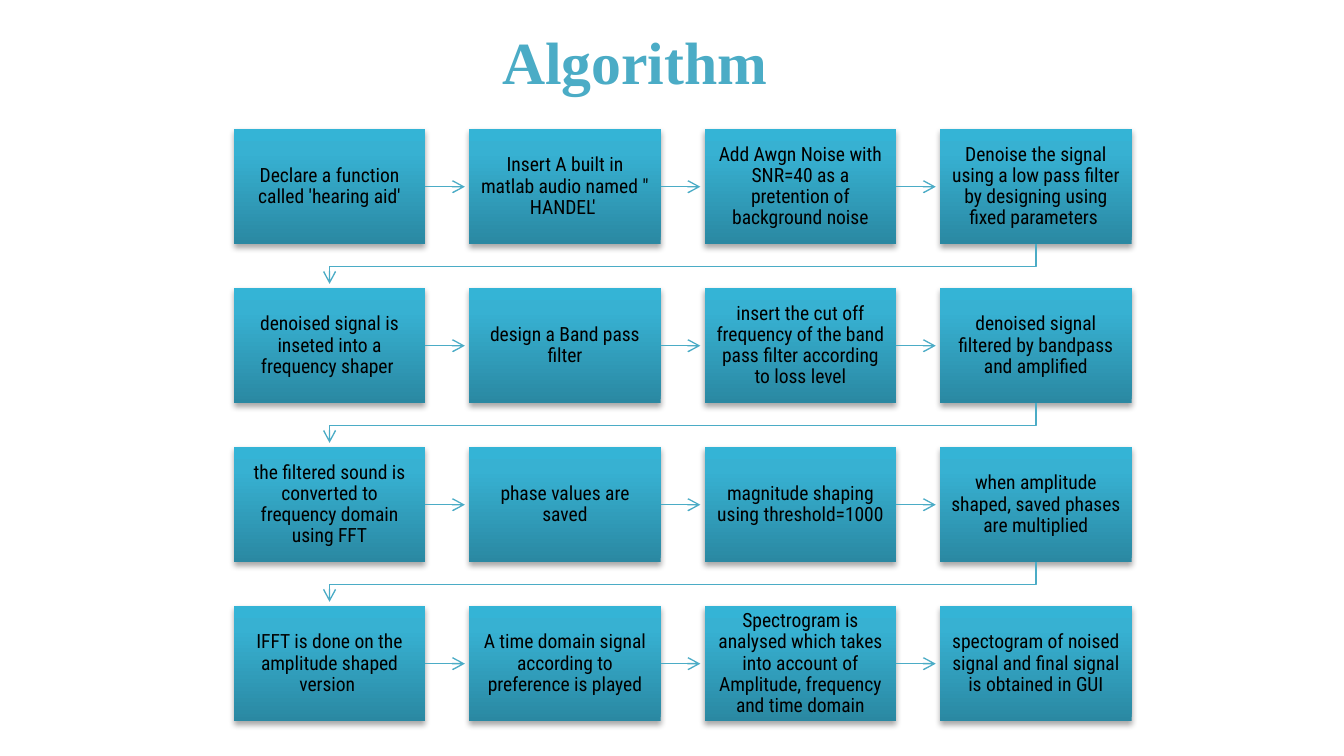
import dataclasses

import lxml.etree
import pptx
import pptx.dml.color
import pptx.enum.shapes
import pptx.enum.text
import pptx.oxml.ns
import pptx.util

STEPS = [
    ["Declare a function called 'hearing aid'",
     "Insert A built in matlab audio named \" HANDEL' ",
     "Add Awgn Noise with SNR=40 as a pretention of background noise",
     "Denoise the signal using a low pass filter by designing using fixed parameters "],
    ["denoised signal is inseted into a frequency shaper ",
     "design a Band pass filter",
     "insert the cut off frequency of the band pass filter according to loss level",
     "denoised signal filtered by bandpass and amplified"],
    ["the filtered sound is converted to frequency domain using FFT",
     "phase values are saved",
     "magnitude shaping using threshold=1000 ",
     "when amplitude shaped, saved phases are multiplied"],
    ["IFFT is done on the amplitude shaped version ",
     "A time domain signal according to preference is played",
     "Spectrogram is analysed which takes into account of Amplitude, frequency and time domain",
     "spectogram of noised signal and final signal is obtained in GUI"],
]


@dataclasses.dataclass(frozen=True)
class Theme:
    """Colours, fonts and sizes of the slide."""
    accent: str = "4BACC6"
    text: str = "000000"
    shadow: str = "000000"
    gradient: tuple = ((0, "2A88A2"), (80, "37B1D2"), (100, "34B4D6"))
    title_font: str = "Times New Roman"
    step_font: str = "Roboto Condensed"
    title_size: float = 32
    step_size: float = 10.5
    line_width: float = 0.75
    inset: float = 0.08
    gap: float = 0.23
    reach: float = 0.9


THEME = Theme()


def rgb(value):
    """Return a colour from its hex value."""
    return pptx.dml.color.RGBColor.from_string(value)


def add_node(parent, tag, **attrs):
    """Append a DrawingML element with the given attributes."""
    node = lxml.etree.SubElement(parent, pptx.oxml.ns.qn(tag))
    for name, value in attrs.items():
        node.set(name, str(value))
    return node


def share(prs, left, top, width, height):
    """Turn percentages of the slide into a box in EMU."""
    w, h = prs.slide_width / 100, prs.slide_height / 100
    return int(left * w), int(top * h), int(width * w), int(height * h)


def write(tf, text, font, size, color, bold=False):
    """Write one centred paragraph into a text frame."""
    tf.word_wrap = True
    p = tf.paragraphs[0]
    p.text = text
    p.alignment = pptx.enum.text.PP_ALIGN.CENTER
    p.font.name, p.font.size, p.font.bold = font, pptx.util.Pt(size), bold
    p.font.color.rgb = rgb(color)
    return p


def add_title(s, box):
    """Place the slide title in its box."""
    tf = s.shapes.add_textbox(*box).text_frame
    write(tf, "Algorithm ", THEME.title_font, THEME.title_size, THEME.accent, True)
    tf.auto_size = pptx.enum.text.MSO_AUTO_SIZE.SHAPE_TO_FIT_TEXT


def add_step(s, box, text):
    """Place one shaded step with its text."""
    sp = s.shapes.add_shape(pptx.enum.shapes.MSO_SHAPE.RECTANGLE, *box)
    sp.fill.gradient()
    sp.fill.gradient_angle = 90
    stops = sp.element.spPr.find(".//" + pptx.oxml.ns.qn("a:gsLst"))
    for stop in list(stops):
        stops.remove(stop)
    for pos, color in THEME.gradient:
        add_node(add_node(stops, "a:gs", pos=pos * 1000), "a:srgbClr", val=color)
    sp.line.fill.background()
    sp.shadow.inherit = False
    effects = sp.element.spPr.find(pptx.oxml.ns.qn("a:effectLst"))
    shadow = add_node(effects, "a:outerShdw", blurRad=pptx.util.Pt(3.1),
                      dist=pptx.util.Pt(1.8), dir=5400000, rotWithShape=0)
    add_node(add_node(shadow, "a:srgbClr", val=THEME.shadow), "a:alpha", val=35000)
    tf = sp.text_frame
    tf.margin_left = tf.margin_right = pptx.util.Inches(THEME.inset)
    tf.margin_top = tf.margin_bottom = pptx.util.Inches(THEME.inset)
    tf.vertical_anchor = pptx.enum.text.MSO_ANCHOR.MIDDLE
    p = write(tf, text, THEME.step_font, THEME.step_size, THEME.text)
    p.line_spacing = 0.9
    return sp


def style_arrow(shape):
    """Give a line its colour, width and open arrowhead."""
    shape.line.color.rgb = rgb(THEME.accent)
    shape.line.width = pptx.util.Pt(THEME.line_width)
    add_node(shape.line._get_or_add_ln(), "a:tailEnd", type="arrow")
    add_node(shape.element.spPr, "a:effectLst")


def add_next_arrow(s, sp, gap):
    """Draw the arrow from a step towards the one on its right."""
    x, y = sp.left + sp.width, sp.top + sp.height // 2
    line = s.shapes.add_connector(pptx.enum.shapes.MSO_CONNECTOR.STRAIGHT,
                                  x, y, int(x + THEME.reach * gap), y)
    line.begin_connect(sp, 3)
    style_arrow(line)


def add_return_arrow(s, last, first, gap):
    """Draw the bent arrow from the end of a row to the start of the next."""
    start, end = (sp.left + sp.width // 2 for sp in (last, first))
    top = last.top + last.height
    middle, bottom = int(top + gap / 2), int(top + THEME.reach * gap)
    builder = s.shapes.build_freeform(start, top)
    builder.add_line_segments([(start, middle), (end, middle), (end, bottom)], close=False)
    line = builder.convert_to_shape()
    line.fill.background()
    style_arrow(line)


def add_flow(s, box, steps):
    """Fill the box with a grid of steps joined row by row."""
    left, top, width, height = box
    cols, rows = len(steps[0]), len(steps)
    w = width / (cols + (cols - 1) * THEME.gap)
    gap = THEME.gap * w
    h = (height - (rows - 1) * gap) / rows
    grid = [[add_step(s, (int(left + c * (w + gap)), int(top + r * (h + gap)),
                          int(w), int(h)), text)
             for c, text in enumerate(row)] for r, row in enumerate(steps)]
    for row in grid:
        for sp in row[:-1]:
            add_next_arrow(s, sp, gap)
    for row, following in zip(grid, grid[1:]):
        add_return_arrow(s, row[-1], following[0], gap)


def main():
    """Build the algorithm slide and save it."""
    prs = pptx.Presentation()
    prs.slide_width = pptx.util.Inches(10)
    prs.slide_height = prs.slide_width * 9 // 16
    s = prs.slides.add_slide(prs.slide_layouts[6])
    add_flow(s, share(prs, 17.4, 17.1, 66.8, 78.3), STEPS)
    add_title(s, share(prs, 21.8, 2.4, 52, 11.4))
    prs.save("out.pptx")


if __name__ == "__main__":
    main()
